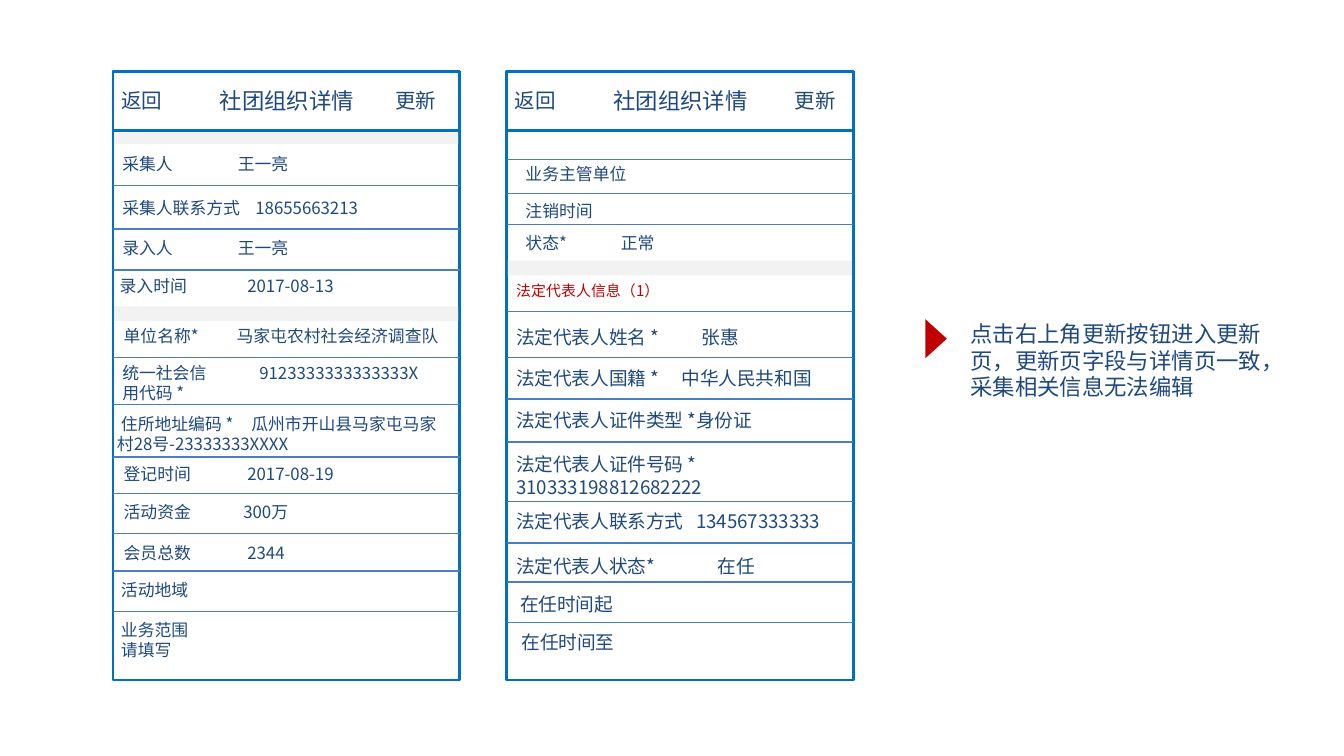
"""Build a slide with two phone screens of organisation details and a note."""
from lxml import etree
from pptx import Presentation
from pptx.dml.color import RGBColor
from pptx.enum.shapes import MSO_CONNECTOR, MSO_SHAPE
from pptx.enum.text import MSO_ANCHOR, PP_ALIGN
from pptx.oxml.ns import qn
from pptx.util import Inches, Pt

RECT, TRIANGLE = MSO_SHAPE.RECTANGLE, MSO_SHAPE.ISOSCELES_TRIANGLE
STRAIGHT, MIDDLE = MSO_CONNECTOR.STRAIGHT, MSO_ANCHOR.MIDDLE
LEFT, CENTER = PP_ALIGN.LEFT, PP_ALIGN.CENTER
FONT, NAVY, BLUE, RULE = "Noto Sans CJK SC", "1F497D", "0070C0", "4B7EBC"
RED, GREY, WHITE = "C00000", "F2F2F2", "FFFFFF"

prs = Presentation()
prs.slide_width = Inches(10)
prs.slide_height = prs.slide_width * 9 // 16
s = prs.slides.add_slide(prs.slide_layouts[6])
UNIT = prs.slide_width // 1000
PANEL_W, PANEL_H, HEAD_H, TOP, FIELD_W = 258, 453, 44, 53, 242


def box(x, y, w, h, fill=None, line=None, kind=RECT):
    sp = s.shapes.add_shape(kind, *(round(v * UNIT) for v in (x, y, w, h)))
    sp.shadow.inherit = False
    if fill:
        sp.fill.solid()
        sp.fill.fore_color.rgb = RGBColor.from_string(fill)
    else:
        sp.fill.background()
    if line:
        sp.line.color.rgb = RGBColor.from_string(line)
        sp.line.width = Pt(1.5)
    else:
        sp.line.fill.background()
    return sp


def text(x, y, w, words, size=9, lines=1, color=NAVY, align=LEFT, tab=0, indent=0):
    sp = box(x, y, w, round(size * 1.67) * lines, WHITE)
    tf = sp.text_frame
    frame = dict(word_wrap=True, vertical_anchor=MIDDLE, margin_left=0,
                 margin_right=0, margin_top=0, margin_bottom=0)
    for name, value in frame.items():
        setattr(tf, name, value)
    for i, words_line in enumerate(words.split("\n")):
        p = tf.paragraphs[0] if i == 0 else tf.add_paragraph()
        p.alignment = align
        if indent:
            p._p.get_or_add_pPr().set("indent", str(indent * UNIT))
        if tab:
            tabs = etree.SubElement(p._p.get_or_add_pPr(), qn("a:tabLst"))
            etree.SubElement(tabs, qn("a:tab"), pos=str(tab * UNIT), algn="l")
        r = p.add_run()
        r.text = words_line
        for name, value in dict(name=FONT, size=Pt(size)).items():
            setattr(r.font, name, value)
        r.font.color.rgb = RGBColor.from_string(color)
        etree.SubElement(r._r.get_or_add_rPr(), qn("a:ea"), typeface=FONT)


panels = [
    dict(
        x=84, update=207, bands=[(99, 8), (228, 11)],
        rules=[138, 170.5, 201, 266, 301, 340, 367, 397, 425, 455],
        fields=[
            (7, 114, "采集人\t王一亮", dict(tab=86)),
            (7, 147, "采集人联系方式\t18655663213", dict(tab=99)),
            (7, 177, "录入人\t王一亮", dict(tab=86)),
            (5, 205, "录入时间\t2017-08-13", dict(tab=95)),
            (8, 242, "单位名称*\t马家屯农村社会经济调查队", dict(tab=84)),
            (7, 270, "统一社会信\n用代码 *", dict(lines=2)),
            (3, 308, "住所地址编码 *\t瓜州市开山县马家屯马家村28号-23333333XXXX",
             dict(tab=106, indent=3, lines=2)),
            (8, 345, "登记时间\t2017-08-19", dict(tab=92)),
            (8, 373, "活动资金\t300万", dict(tab=89)),
            (8, 404, "会员总数\t2344", dict(tab=92)),
            (6, 431, "活动地域", {}),
            (6, 461, "业务范围\n请填写", dict(lines=2)),
        ]),
    dict(
        x=377, update=211, bands=[(194, 11)],
        rules=[118.5, 144, 167, 232, 266, 297, 329, 373, 404, 433, 463],
        fields=[
            (14, 122, "业务主管单位", {}),
            (14, 149, "注销时间", {}),
            (14, 173, "状态*\t正常", dict(tab=71)),
            (7, 210, "法定代表人信息（1）", dict(size=8, color=RED)),
            (7, 242, "法定代表人姓名 *\t张惠", dict(size=10, tab=138)),
            (7, 273, "法定代表人国籍 *\t中华人民共和国", dict(size=10, tab=123)),
            (7, 304, "法定代表人证件类型 *身份证", dict(size=10)),
            (7, 337, "法定代表人证件号码 * 310333198812682222", dict(size=10, lines=2)),
            (7, 379, "法定代表人联系方式\t134567333333", dict(size=10, tab=134)),
            (7, 413, "法定代表人状态*\t在任", dict(size=10, tab=150)),
            (10, 441, "在任时间起", dict(size=10)),
            (11, 469, "在任时间至", dict(size=10)),
        ]),
]

for panel in panels:
    x = panel["x"]
    box(x, TOP, PANEL_W, HEAD_H, WHITE, BLUE)
    box(x, TOP, PANEL_W, PANEL_H, line=BLUE)
    for dx, y, w, words, size in [(3, 66, 37, "返回", 11),
                                  (58, 65, 143, "社团组织详情", 12),
                                  (panel["update"], 66, 37, "更新", 11)]:
        text(x + dx, y, w, words, size, align=CENTER)
    for y, h in panel["bands"]:
        box(x + 1, y, PANEL_W - 2, h, GREY)
    for dx, y, words, fmt in panel["fields"]:
        text(x + dx, y, FIELD_W, words, **fmt)
    for y in panel["rules"]:
        ends = (round(v * UNIT) for v in (x, y, x + PANEL_W, y))
        sp = s.shapes.add_connector(STRAIGHT, *ends)
        sp.line.color.rgb = RGBColor.from_string(RULE)
        sp.line.width = Pt(0.75)
        etree.SubElement(sp._element.spPr, qn("a:effectLst"))

text(193, 270, 126, "9123333333333333X")
text(722, 238, 228, "点击右上角更新按钮进入更新页，更新页字段与详情页一致，采集相关信息无法编辑",
     size=12, lines=3)
box(682, 244, 29, 16, RED, kind=TRIANGLE).rotation = 90

prs.save("out.pptx")
